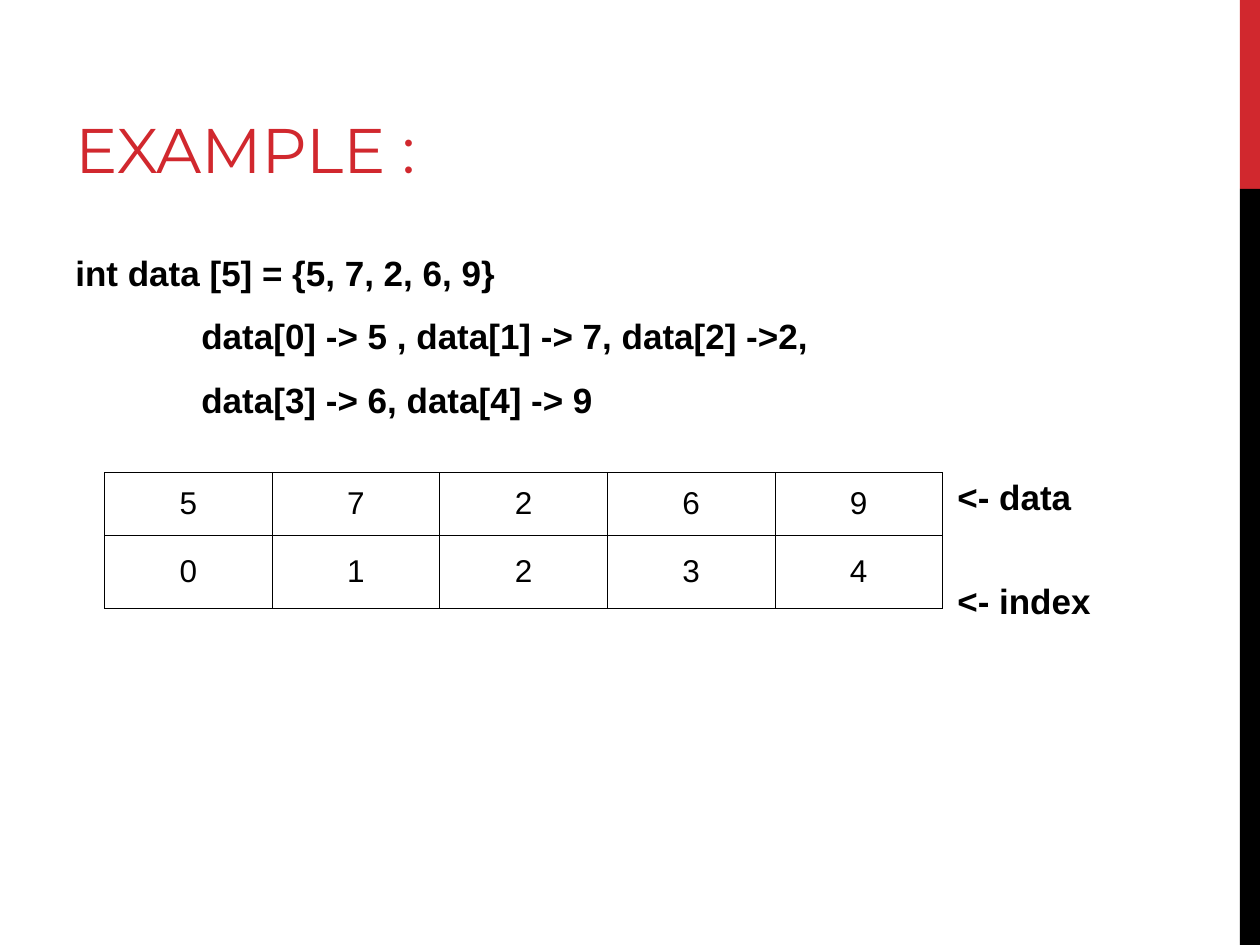
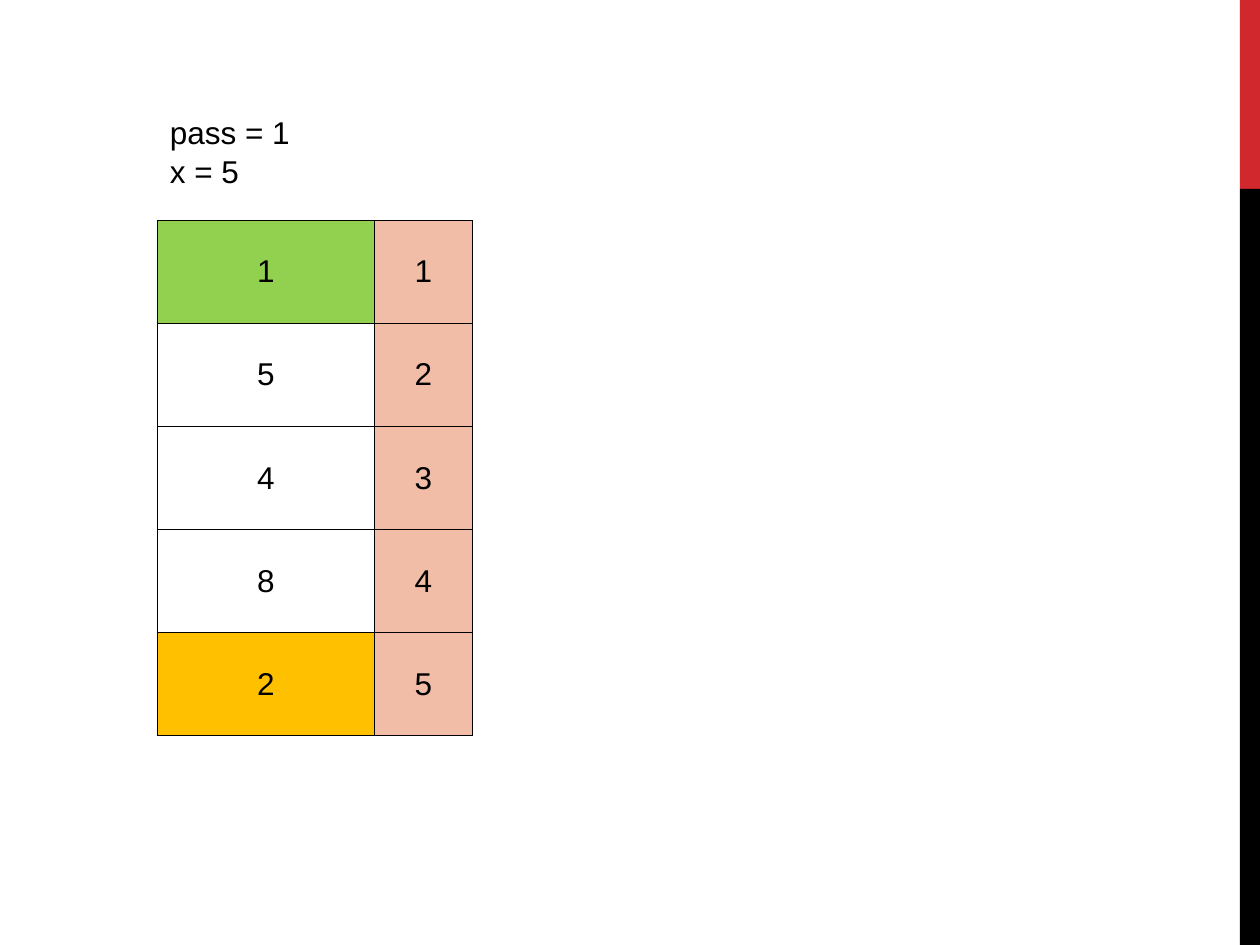
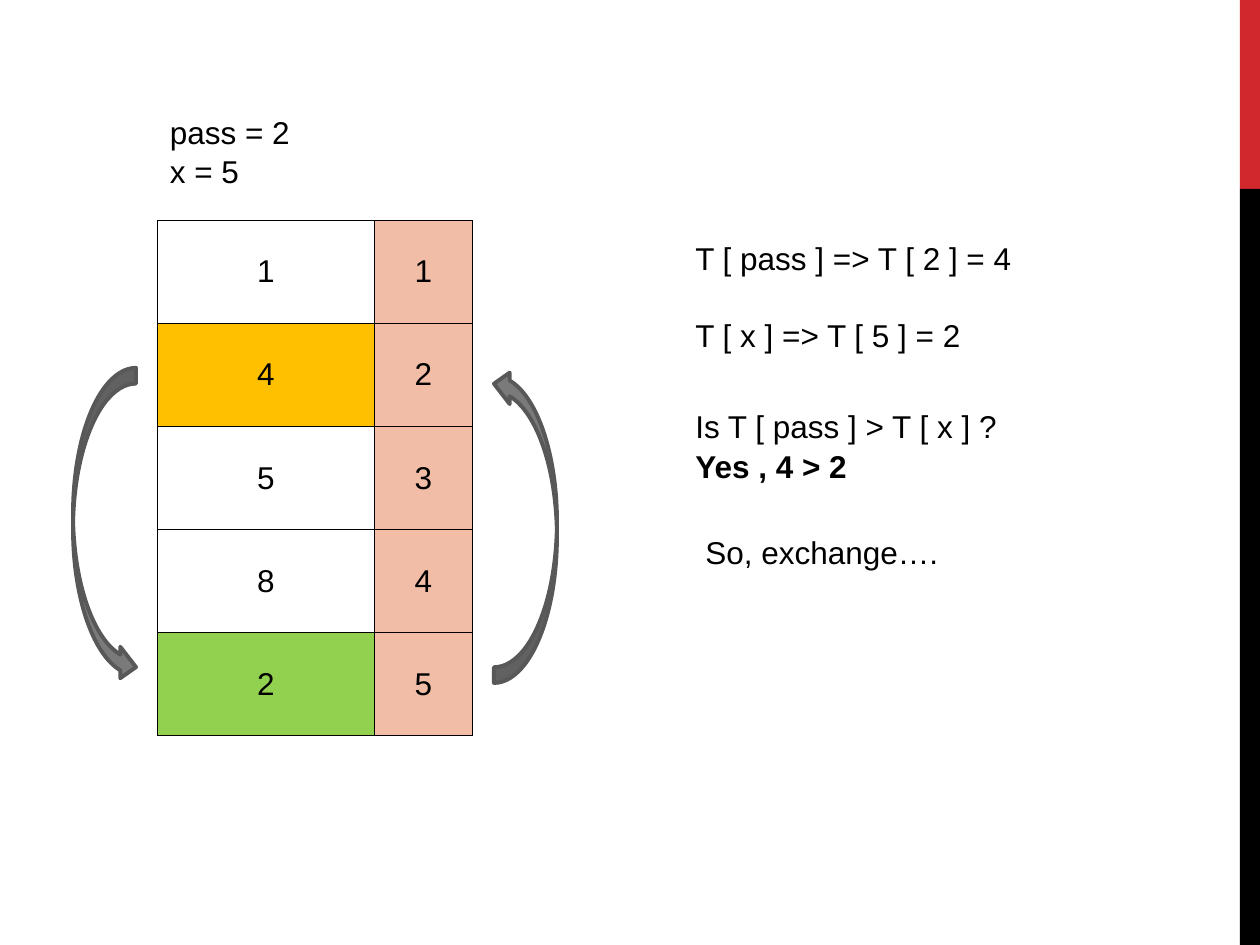
from dataclasses import dataclass

from lxml import etree
from pptx import Presentation
from pptx.dml.color import RGBColor
from pptx.enum.shapes import MSO_SHAPE
from pptx.enum.text import MSO_ANCHOR, PP_ALIGN
from pptx.oxml.ns import qn
from pptx.util import Inches, Pt

RECTANGLE = MSO_SHAPE.RECTANGLE
CURVED_ARROW = MSO_SHAPE.CURVED_RIGHT_ARROW
MIDDLE = MSO_ANCHOR.MIDDLE
BOTTOM = MSO_ANCHOR.BOTTOM
CENTER = PP_ALIGN.CENTER


@dataclass(frozen=True)
class Theme:
    red: str = "D1282E"
    black: str = "000000"
    green: str = "92D050"
    amber: str = "FFC000"
    peach: str = "F1BDA7"
    arrow_fill: str = "7A7A7A"
    arrow_line: str = "585858"
    title_font: str = "Montserrat"
    body_font: str = "Arial"
    title_size: int = 36
    code_size: int = 20
    text_size: int = 18
    line_spacing: float = 1.05
    border_width: float = 0.45


THEME = Theme()


def color(value):
    return RGBColor.from_string(value)


def style_font(paragraph, size, name=THEME.body_font, text_color=THEME.black, bold=False):
    paragraph.font.size = Pt(size)
    paragraph.font.name = name
    paragraph.font.bold = bold
    paragraph.font.color.rgb = color(text_color)


def add_band(slide, top, height, fill):
    band = slide.shapes.add_shape(RECTANGLE, Inches(9.84), Inches(top), Inches(0.16), Inches(height))
    band.shadow.inherit = False
    band.fill.solid()
    band.fill.fore_color.rgb = color(fill)
    band.line.fill.background()


def add_banded_slide(presentation):
    slide = presentation.slides.add_slide(presentation.slide_layouts[6])
    add_band(slide, 0, 1.5, THEME.red)
    add_band(slide, 1.5, 6, THEME.black)
    return slide


def add_text(slide, left, top, width, height, lines, size=THEME.text_size, bold=False):
    box = slide.shapes.add_textbox(Inches(left), Inches(top), Inches(width), Inches(height))
    frame = box.text_frame
    frame.word_wrap = True
    frame.text = "\n".join(lines)
    for paragraph in frame.paragraphs:
        paragraph.line_spacing = THEME.line_spacing
        style_font(paragraph, size, bold=bold)
    return frame


def add_title(slide, text):
    frame = add_text(slide, 0.5, 0.25, 9, 1.25, [text])
    frame.vertical_anchor = BOTTOM
    frame.margin_bottom = Inches(0.02)
    paragraph = frame.paragraphs[0]
    paragraph.line_spacing = 1.0
    style_font(paragraph, THEME.title_size, THEME.title_font, THEME.red)


def add_code(slide, lines):
    frame = add_text(slide, 0.5, 1.93, 8.33, 1.6, lines, THEME.code_size, bold=True)
    for paragraph in frame.paragraphs:
        paragraph.space_after = Pt(6)
    for paragraph in frame.paragraphs[1:]:
        paragraph.space_before = Pt(5)
        properties = paragraph._p.get_or_add_pPr()
        properties.set("marL", str(Inches(1)))
        properties.set("indent", "0")


def add_cell_borders(cell):
    properties = cell._tc.get_or_add_tcPr()
    for position, side in enumerate(("a:lnL", "a:lnR", "a:lnT", "a:lnB")):
        line = etree.Element(qn(side), w=str(Pt(THEME.border_width)))
        fill = etree.SubElement(line, qn("a:solidFill"))
        etree.SubElement(fill, qn("a:srgbClr"), val=THEME.black)
        properties.insert(position, line)


def add_grid(slide, left, top, column_widths, row_heights, values, fills):
    frame = slide.shapes.add_table(
        len(row_heights), len(column_widths), Inches(left), Inches(top),
        Inches(sum(column_widths)), Inches(sum(row_heights)))
    table = frame.table
    table.first_row = False
    table.horz_banding = False
    for column, width in zip(table.columns, column_widths):
        column.width = Inches(width)
    for row, height in zip(table.rows, row_heights):
        row.height = Inches(height)
    for row_index, row_values in enumerate(values):
        for column_index, value in enumerate(row_values):
            cell = table.cell(row_index, column_index)
            cell.text = str(value)
            cell.vertical_anchor = MIDDLE
            paragraph = cell.text_frame.paragraphs[0]
            paragraph.alignment = CENTER
            style_font(paragraph, THEME.text_size)
            fill = fills.get((row_index, column_index))
            if fill:
                cell.fill.solid()
                cell.fill.fore_color.rgb = color(fill)
            else:
                cell.fill.background()
            add_cell_borders(cell)


def add_sort_state(slide, pass_number, x, values, highlights):
    fills = {(row, 1): THEME.peach for row in range(len(values))}
    fills.update({(row, 0): fill for row, fill in highlights.items()})
    rows = [(value, index) for index, value in enumerate(values, 1)]
    row_heights = [4.09 / len(values)] * len(values)
    add_grid(slide, 1.25, 1.75, [1.72, 0.78], row_heights, rows, fills)
    add_text(slide, 1.25, 0.83, 1.83, 0.7, [f"pass = {pass_number}", f"x = {x}"])


def add_exchange_arrow(slide, left, rotation):
    arrow = slide.shapes.add_shape(CURVED_ARROW, Inches(left), Inches(2.92), Inches(0.5), Inches(2.5))
    arrow.rotation = rotation
    arrow.shadow.inherit = False
    arrow.fill.solid()
    arrow.fill.fore_color.rgb = color(THEME.arrow_fill)
    arrow.line.color.rgb = color(THEME.arrow_line)
    arrow.line.width = Pt(2.25)


def build_array_example(presentation):
    slide = add_banded_slide(presentation)
    add_title(slide, "EXAMPLE :")
    add_code(slide, [
        "int data [5] = {5, 7, 2, 6, 9}",
        "data[0] -> 5 , data[1] -> 7, data[2] ->2,",
        "data[3] -> 6, data[4] -> 9",
    ])
    data = [5, 7, 2, 6, 9]
    add_grid(slide, 0.83, 3.75, [1.33] * len(data), [0.5, 0.58], [data, range(len(data))], {})
    for top, label in ((3.71, "<- data"), (4.53, "<- index")):
        add_text(slide, 7.5, top, 1.5, 0.42, [label], THEME.code_size, bold=True)


def build_first_pass(presentation):
    slide = add_banded_slide(presentation)
    add_sort_state(slide, 1, 5, [1, 5, 4, 8, 2], {0: THEME.green, 4: THEME.amber})


def build_second_pass(presentation):
    slide = add_banded_slide(presentation)
    add_sort_state(slide, 2, 5, [1, 4, 5, 8, 2], {1: THEME.amber, 4: THEME.green})
    add_exchange_arrow(slide, 0.58, 0)
    add_exchange_arrow(slide, 3.92, 180)
    lookups = add_text(slide, 5.42, 1.83, 3.58, 1, ["T [ pass ] => T [ 2 ] = 4", "T [ x ] => T [ 5 ] = 2"])
    lookups.paragraphs[1].space_before = Pt(21.7)
    comparison = add_text(slide, 5.42, 3.17, 3.42, 0.7, ["Is T [ pass ] > T [ x ] ?", "Yes , 4 > 2"])
    comparison.paragraphs[1].font.bold = True
    add_text(slide, 5.5, 4.17, 3.17, 0.4, ["So, exchange…."])


def main():
    presentation = Presentation()
    presentation.slide_width = Inches(10)
    presentation.slide_height = Inches(7.5)
    build_array_example(presentation)
    build_first_pass(presentation)
    build_second_pass(presentation)
    presentation.save("out.pptx")


if __name__ == "__main__":
    main()
